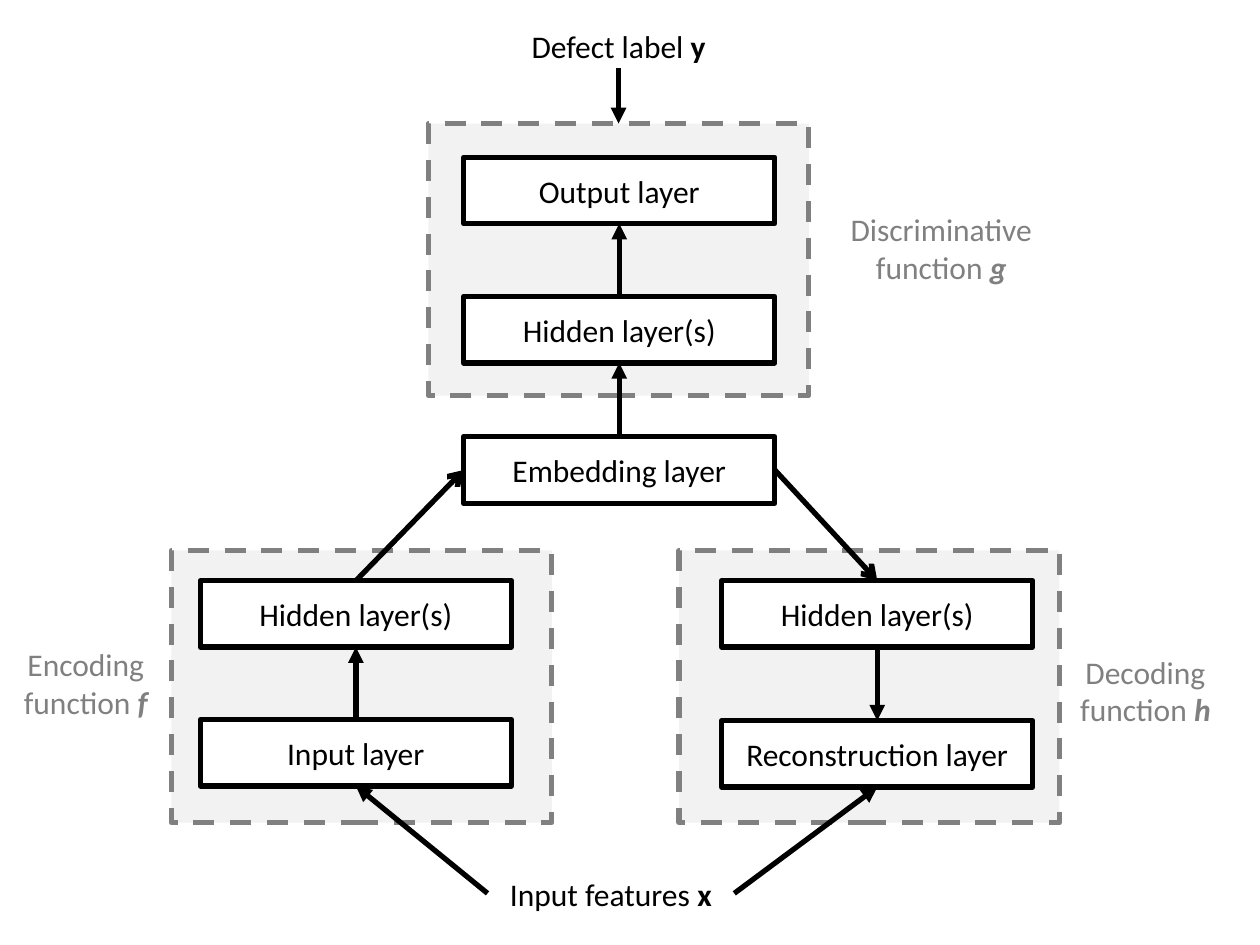
from pptx import Presentation
from pptx.dml.color import RGBColor
from pptx.enum.dml import MSO_LINE
from pptx.enum.shapes import MSO_CONNECTOR, MSO_SHAPE
from pptx.enum.text import MSO_ANCHOR, MSO_AUTO_SIZE, PP_ALIGN
from pptx.oxml.ns import qn
from pptx.util import Pt
from lxml.etree import SubElement

BLACK, GRAY, PALE, WHITE = "000000", "808080", "F2F2F2", "FFFFFF"
TOP, LEFT, BOTTOM, RIGHT = range(4)
PANEL_SIZE = (217.4, 155.5)
LAYER_SIZE = (177.8, 38)
LABEL_SIZE = (141, 26)


def color(value):
    return RGBColor.from_string(value)


def add_span(para, text, ink, bold=None, italic=None):
    span = para.add_run()
    span.text = text
    span.font.name = "Calibri"
    span.font.size = Pt(18)
    span.font.color.rgb = color(ink)
    span.font.bold = bold
    span.font.italic = italic


def add_box(page, left, top, size, fill, outline):
    box = page.shapes.add_shape(MSO_SHAPE.RECTANGLE, Pt(left), Pt(top), *map(Pt, size))
    box.shadow.inherit = False
    box.fill.solid()
    box.fill.fore_color.rgb = color(fill)
    box.line.color.rgb = color(outline)
    box.line.width = Pt(3)
    return box


def add_panel(page, left, top):
    panel = add_box(page, left, top, PANEL_SIZE, PALE, GRAY)
    panel.line.dash_style = MSO_LINE.DASH
    return panel


def add_layer(page, left, top, name):
    layer = add_box(page, left, top, LAYER_SIZE, WHITE, BLACK)
    layer.text_frame.vertical_anchor = MSO_ANCHOR.MIDDLE
    para = layer.text_frame.paragraphs[0]
    para.alignment = PP_ALIGN.CENTER
    add_span(para, name, BLACK)
    return layer


def add_label(page, left, top, size, text, symbol, ink=BLACK, italic=None):
    label = page.shapes.add_textbox(Pt(left), Pt(top), *map(Pt, size))
    frame = label.text_frame
    frame.word_wrap = True
    if italic:
        frame.auto_size = MSO_AUTO_SIZE.SHAPE_TO_FIT_TEXT
    else:
        frame.vertical_anchor = MSO_ANCHOR.MIDDLE
    para = frame.paragraphs[0]
    para.alignment = PP_ALIGN.CENTER
    add_span(para, text, ink)
    add_span(para, symbol, ink, True, italic)
    return label


def add_arrow(page, source, source_side, target, target_side, head="triangle"):
    arrow = page.shapes.add_connector(MSO_CONNECTOR.STRAIGHT, 0, 0, 0, 0)
    arrow.begin_connect(source, source_side)
    arrow.end_connect(target, target_side)
    arrow.line.color.rgb = color(BLACK)
    arrow.line.width = Pt(3)
    SubElement(arrow.line._get_or_add_ln(), qn("a:tailEnd"), type=head)
    SubElement(arrow._element.spPr, qn("a:effectLst"))


def main():
    deck = Presentation()
    deck.slide_width, deck.slide_height = Pt(720), Pt(540)
    page = deck.slides.add_slide(deck.slide_layouts[6])

    discriminator = add_panel(page, 244.8, 70.6)
    for left in (388, 98):
        add_panel(page, left, 314.6)

    input_layer = add_layer(page, 114.5, 411.2, "Input layer")
    encoder = add_layer(page, 114.5, 331.8, "Hidden layer(s)")
    embedding = add_layer(page, 265, 249.6, "Embedding layer")
    hidden = add_layer(page, 265, 169.4, "Hidden layer(s)")
    output = add_layer(page, 265, 89.8, "Output layer")
    reconstruction = add_layer(page, 412.4, 411.8, "Reconstruction layer")
    decoder = add_layer(page, 412.4, 331.8, "Hidden layer(s)")

    features = add_label(page, 278.6, 497.5, LABEL_SIZE, "Input features ", "x")
    defect = add_label(page, 283, 13, LABEL_SIZE, "Defect label ", "y")

    add_arrow(page, input_layer, TOP, encoder, BOTTOM)
    add_arrow(page, encoder, TOP, embedding, LEFT, "arrow")
    add_arrow(page, embedding, TOP, hidden, BOTTOM)
    add_arrow(page, hidden, TOP, output, BOTTOM)
    add_arrow(page, embedding, RIGHT, decoder, TOP, "arrow")
    add_arrow(page, decoder, BOTTOM, reconstruction, TOP)
    add_arrow(page, features, RIGHT, reconstruction, BOTTOM)
    add_arrow(page, features, LEFT, input_layer, BOTTOM)
    add_arrow(page, defect, BOTTOM, discriminator, TOP)

    for left, top, width, role, symbol in (
        (472.3, 116.6, 131, "Discriminative", "g"),
        (2.9, 365, 92.2, "Encoding", "f"),
        (605.5, 369.4, 98, "Decoding", "h"),
    ):
        add_label(page, left, top, (width, 51), f"{role} function ", symbol, GRAY, True)

    deck.save("out.pptx")


main()
